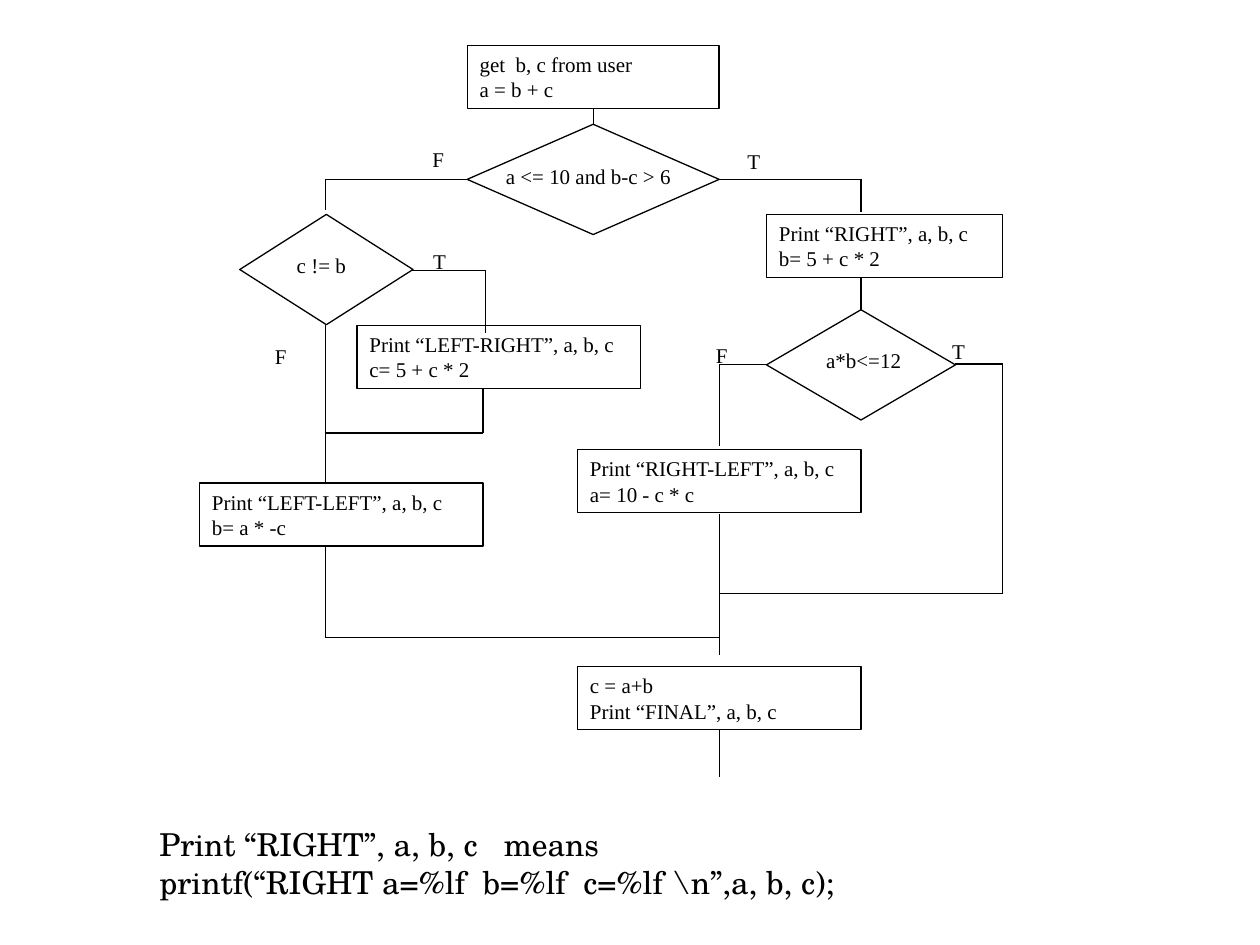
from itertools import pairwise

from lxml.etree import SubElement
from pptx import Presentation
from pptx.dml.color import RGBColor
from pptx.enum.shapes import MSO_CONNECTOR as CONN, MSO_SHAPE as SHAPE
from pptx.enum.text import MSO_ANCHOR as ANCHOR, PP_ALIGN as ALIGN
from pptx.oxml.ns import qn
from pptx.util import Pt

COLORS = {"ink": "000000"}
INK = RGBColor.from_string(COLORS["ink"])
FLOW_FONT, CAPTION_FONT = "Times New Roman", "TeX Gyre Schola"
LINE_WIDTH = 0.75
STEP_W, STEP_H = 162, 36
DECISION_H = 63


def write(shape, lines, size=12, font=FLOW_FONT):
    tf = shape.text_frame
    tf.word_wrap = True
    tf.vertical_anchor = ANCHOR.TOP
    for i, line in enumerate(lines):
        p = tf.add_paragraph() if i else tf.paragraphs[0]
        p.alignment = ALIGN.LEFT
        r = p.add_run()
        r.text = line
        r.font.size = Pt(size)
        r.font.name = font
        r.font.color.rgb = INK


def add_outline(slide, kind, x, y, w, h):
    sp = slide.shapes.add_shape(kind, Pt(x), Pt(y), Pt(w), Pt(h))
    sp.shadow.inherit = False
    sp.fill.background()
    sp.line.color.rgb = INK
    sp.line.width = Pt(LINE_WIDTH)
    return sp


def add_step(slide, x, y, lines, w=STEP_W):
    write(add_outline(slide, SHAPE.RECTANGLE, x, y, w, STEP_H), lines)


def add_text(slide, x, y, w, h, lines, **style):
    box = slide.shapes.add_textbox(Pt(x), Pt(y), Pt(w), Pt(h))
    write(box, lines, **style)


def add_label(slide, x, y, text):
    add_text(slide, x, y, 36, 18, [text])


def add_decision(slide, x, y, w, text, text_w, text_dx, text_dy):
    add_outline(slide, SHAPE.FLOWCHART_DECISION, x, y, w, DECISION_H)
    add_text(slide, x + text_dx, y + text_dy, text_w, 27, [text])


def add_route(slide, *points):
    """Join the points, in order, with straight lines."""
    for start, end in pairwise(points):
        line = slide.shapes.add_connector(CONN.STRAIGHT, *map(Pt, start + end))
        line.line.color.rgb = INK
        line.line.width = Pt(LINE_WIDTH)
        SubElement(line._element.spPr, qn("a:effectLst"))


def draw_start(slide, x, y):
    width = 2 * 72
    middle, fork = x + width / 2, y + 76.5
    add_step(slide, x, y, ["get  b, c from user", "a = b + c"], width)
    add_route(slide, (middle, y + 36), (middle, y + 45))
    add_decision(slide, x, y + 45, width, "a <= 10 and b-c > 6", 117, 15, 19)
    add_label(slide, x - 27, y + 54, "F")
    add_label(slide, x + 153, y + 55.5, "T")
    add_route(slide, (x, fork), (x - 81, fork), (x - 81, y + 94))
    add_route(slide, (x + width, fork), (x + 225, fork), (x + 225, y + 95))


def draw_false_branch(slide, x, y):
    trunk, side = x + 72, x + STEP_W
    add_decision(slide, x + 23, y, 99, "c != b", 45, 25.5, 18.5)
    add_label(slide, x + 36, y + 70, "F")
    add_label(slide, x + 126.5, y + 16, "T")
    add_route(slide, (x + 121, y + 32), (side + 1.5, y + 32), (side + 1.5, y + 68))
    add_step(slide, x + 90, y + 63.5, ["Print “LEFT-RIGHT”, a, b, c", "c= 5 + c * 2"])
    add_route(slide, (side, y + 99.5), (side, y + 125), (trunk, y + 125))
    add_route(slide, (trunk, y + DECISION_H), (trunk, y + 153.5))
    add_step(slide, x, y + 153.5, ["Print “LEFT-LEFT”, a, b, c", "b= a * -c"])
    add_route(slide, (trunk, y + 189.5), (trunk, y + 242))


def draw_true_branch(slide, x, y):
    """x is the line on which the two inner paths meet again."""
    entry, side = x + 81, x + STEP_W
    add_step(slide, x + 27, y, ["Print “RIGHT”, a, b, c", "b= 5 + c * 2"], 135)
    add_route(slide, (entry, y + STEP_H), (entry, y + 54.5))
    add_decision(slide, x + 27, y + 54.5, 108, "a*b<=12", 63, 27, 18)
    add_label(slide, x - 9, y + 69.5, "F")
    add_label(slide, x + 126, y + 67.5, "T")
    add_route(slide, (x + 27, y + 86), (x, y + 86), (x, y + 132.5))
    add_step(slide, x - 81, y + 134.5, ["Print “RIGHT-LEFT”, a, b, c", "a= 10 - c * c"])
    add_route(slide, (x, y + 171), (x, y + 252))
    add_route(slide, (x + 135, y + 85.5), (side, y + 85.5), (side, y + 216.5), (x, y + 216.5))


def draw_end(slide, x, y):
    middle = x + STEP_W / 2
    add_route(slide, (middle - 225, y - 16.5), (middle, y - 16.5))
    add_step(slide, x, y, ["c = a+b", "Print “FINAL”, a, b, c"])
    add_route(slide, (middle, y + STEP_H), (middle, y + 63))


def draw_caption(slide, x, y):
    lines = ["Print “RIGHT”, a, b, c   means",
             "printf(“RIGHT a=%lf  b=%lf  c=%lf \\n”,a, b, c);"]
    add_text(slide, x, y, 468, 50.4, lines, size=18, font=CAPTION_FONT)


def main():
    prs = Presentation()
    prs.slide_width, prs.slide_height = Pt(720), Pt(540)
    slide = prs.slides.add_slide(prs.slide_layouts[6])
    draw_start(slide, 267, 26)
    draw_false_branch(slide, 114, 122.5)
    draw_true_branch(slide, 411, 122.5)
    draw_end(slide, 330, 381)
    draw_caption(slide, 84, 468)
    prs.save("out.pptx")


if __name__ == "__main__":
    main()
